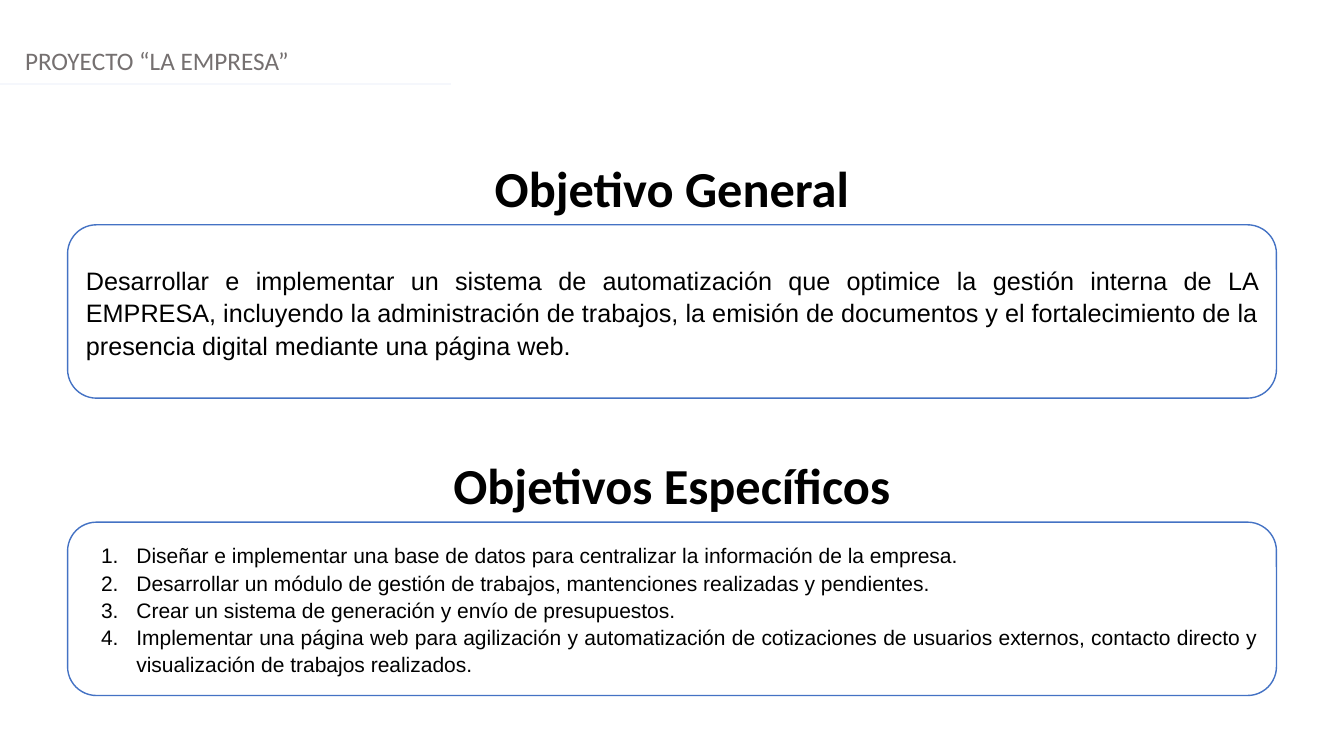
from dataclasses import dataclass

from lxml.etree import SubElement
from pptx import Presentation
from pptx.dml.color import RGBColor as Color
from pptx.enum.shapes import MSO_CONNECTOR as Link, MSO_SHAPE as Preset
from pptx.enum.text import MSO_ANCHOR as Anchor, PP_ALIGN as Align
from pptx.oxml.ns import qn
from pptx.util import Inches, Pt


@dataclass(frozen=True)
class Theme:
    ink: str = "000000"
    muted: str = "757070"
    paper: str = "FFFFFF"
    border: str = "4472C4"
    rule: str = "F5F7FC"
    head: str = "Calibri"
    body: str = "Arial"
    title: int = 36
    text: int = 18
    item: int = 15


THEME = Theme()
WIDTH = 13.33

GOAL = (
    "Desarrollar e implementar un sistema de automatización que optimice la "
    "gestión interna de LA EMPRESA, incluyendo la administración de trabajos, "
    "la emisión de documentos y el fortalecimiento de la presencia digital "
    "mediante una página web."
)
STEPS = [
    "Diseñar e implementar una base de datos para centralizar la información de la empresa.",
    "Desarrollar un módulo de gestión de trabajos, mantenciones realizadas y pendientes.",
    "Crear un sistema de generación y envío de presupuestos.",
    "Implementar una página web para agilización y automatización de cotizaciones de "
    "usuarios externos, contacto directo y visualización de trabajos realizados.",
]


def style(para, face, size, color, align, bold=False):
    para.alignment = align
    for run in para.runs:
        font = run.font
        font.name, font.size, font.bold = face, Pt(size), bold
        font.color.rgb = Color.from_string(color)


def add_label(slide, text, left, top, width, height, size, color,
              align=Align.LEFT, bold=False):
    box = slide.shapes.add_textbox(
        Inches(left), Inches(top), Inches(width), Inches(height))
    frame = box.text_frame
    frame.word_wrap = True
    frame.text = text
    style(frame.paragraphs[0], THEME.head, size, color, align, bold)


def add_title(slide, text, top):
    add_label(slide, text, 0, top, WIDTH, 0.71, THEME.title, THEME.ink,
              Align.CENTER, True)


def add_rule(slide, top, width):
    line = slide.shapes.add_connector(
        Link.STRAIGHT, 0, Inches(top), Inches(width), Inches(top))
    line.line.color.rgb = Color.from_string(THEME.rule)
    line.line.width = Pt(1.25)
    SubElement(line._element.spPr, qn("a:effectLst"))


def add_panel(slide, top, lines, size):
    panel = slide.shapes.add_shape(
        Preset.ROUNDED_RECTANGLE, Inches(0.67), Inches(top), Inches(11.99), Inches(1.72))
    panel.shadow.inherit = False
    panel.fill.solid()
    panel.fill.fore_color.rgb = Color.from_string(THEME.paper)
    panel.line.color.rgb = Color.from_string(THEME.border)
    panel.line.width = Pt(1)
    frame = panel.text_frame
    frame.word_wrap = True
    frame.vertical_anchor = Anchor.MIDDLE
    frame.text = "\n".join(lines)
    for para in frame.paragraphs:
        style(para, THEME.body, size, THEME.ink, Align.JUSTIFY)
        para.line_spacing = 1.08
    return frame.paragraphs


def number(para):
    props = para._p.get_or_add_pPr()
    props.set("marL", str(Inches(0.5)))
    props.set("indent", str(Inches(-0.35)))
    tint = SubElement(props, qn("a:buClr"))
    SubElement(tint, qn("a:srgbClr"), val=THEME.ink)
    SubElement(props, qn("a:buFont"), typeface="+mj-lt")
    SubElement(props, qn("a:buAutoNum"), type="arabicPeriod")


def main():
    deck = Presentation()
    deck.slide_width, deck.slide_height = Inches(WIDTH), Inches(7.5)
    slide = deck.slides.add_slide(deck.slide_layouts[6])

    # Header
    add_label(slide, "PROYECTO “LA EMPRESA”", 0.15, 0.4, 13, 0.4,
              THEME.text, THEME.muted)
    add_rule(slide, 0.83, 4.47)

    # General goal
    add_title(slide, "Objetivo General", 1.51)
    for para in add_panel(slide, 2.23, [GOAL], THEME.text):
        para.space_after = Pt(8)

    # Specific goals
    add_title(slide, "Objetivos Específicos", 4.46)
    for para in add_panel(slide, 5.18, STEPS, THEME.item):
        number(para)

    deck.save("out.pptx")


if __name__ == "__main__":
    main()
